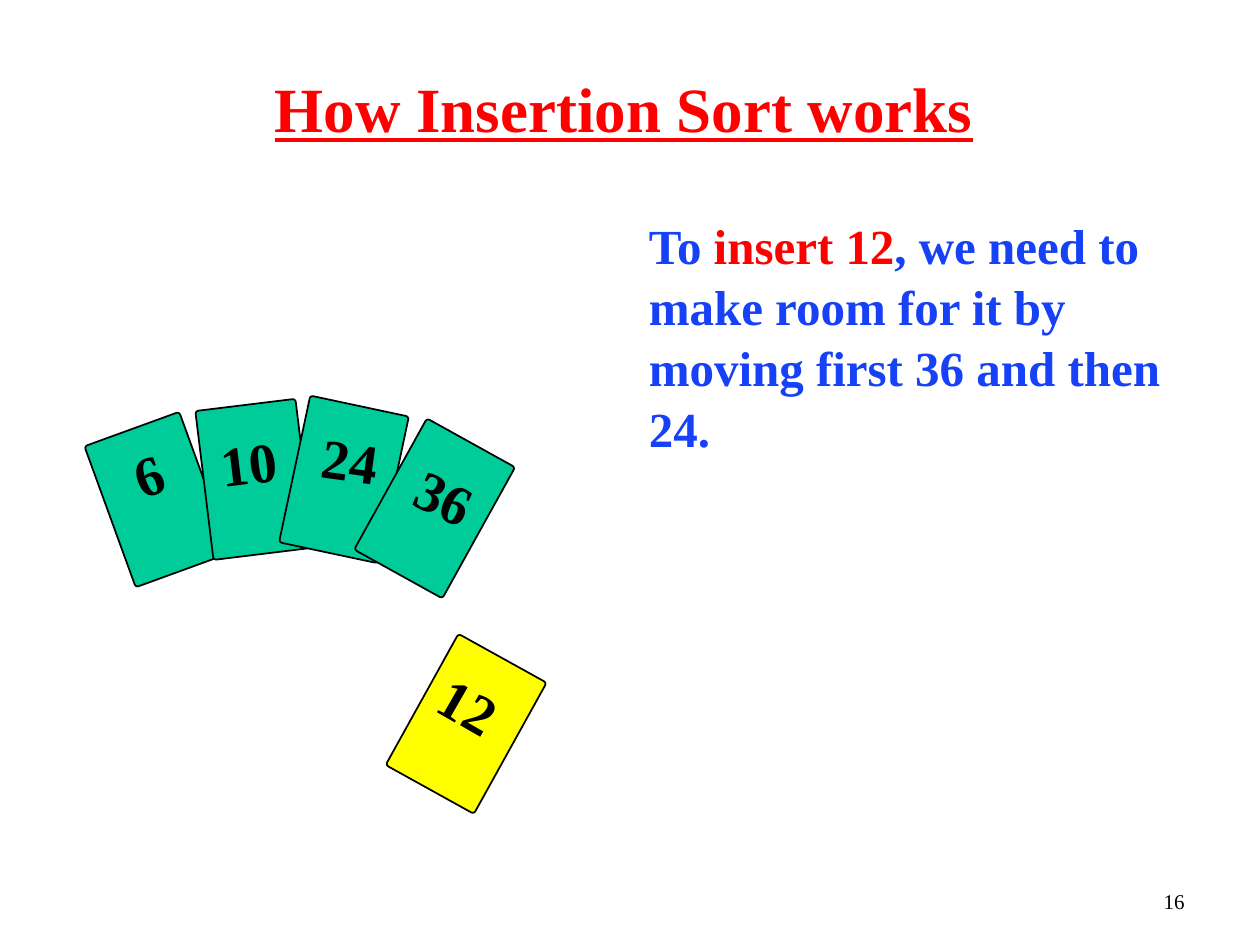
from pptx import Presentation
from pptx.dml.color import RGBColor
from pptx.enum.shapes import MSO_SHAPE as Preset
from pptx.enum.text import MSO_ANCHOR as Anchor, MSO_AUTO_SIZE as AutoSize, PP_ALIGN as Align
from pptx.oxml.xmlchemy import OxmlElement
from pptx.util import Inches, Pt

BLACK, RED, BLUE, GREEN, YELLOW = "000000", "FF0000", "1641F6", "00CC99", "FFFF00"


def color(hex_value):
    return RGBColor.from_string(hex_value)


def write(paragraph, text, hex_value, **formats):
    run = paragraph.add_run()
    run.text = text
    run.font.color.rgb = color(hex_value)
    for name, value in {"name": "Times New Roman", "bold": True, **formats}.items():
        setattr(run.font, name, value)


prs = Presentation()
prs.slide_width, prs.slide_height = Inches(10), Inches(7.5)
slide = prs.slides.add_slide(prs.slide_layouts[1])
title, explanation = slide.placeholders

places = [(title, (1, 0.31, 7.9, 1.09), Anchor.MIDDLE),
          (explanation, (5.05, 1.64, 4.66, 1.99), Anchor.TOP)]
for holder, box, anchor in places:
    for name, value in zip(("left", "top", "width", "height"), box):
        setattr(holder, name, Inches(value))
    frame_formats = {"vertical_anchor": anchor, "word_wrap": True, "auto_size": AutoSize.NONE}
    for name, value in frame_formats.items():
        setattr(holder.text_frame, name, value)

heading = title.text_frame.paragraphs[0]
heading.alignment = Align.CENTER
write(heading, "How Insertion Sort works", RED, size=Pt(36), underline=True)

sentence = explanation.text_frame.paragraphs[0]
sentence.space_before = Pt(0)
sentence.line_spacing = 1.04
indents = sentence._p.get_or_add_pPr()
indents.set("marL", "0")
indents.set("indent", "0")
indents.append(OxmlElement("a:buNone"))
for text, hex_value in [("To ", BLUE), ("insert 12", RED),
                        (", we need to make room for it by moving first 36 and then 24.", BLUE)]:
    write(sentence, text, hex_value, size=Pt(28))

cards = [
    ("6", GREEN, (0.85, 3.37), 340, (0.97, 3.44, 0.43), 341),
    ("10", GREEN, (1.62, 3.21), 353, (1.65, 3.35, 0.65), 353),
    ("24", GREEN, (2.33, 3.21), 12, (2.46, 3.33, 0.65), 8),
    ("12", YELLOW, (3.3, 5.15), 29, (3.4, 5.28, 0.65), 30),
    ("36", GREEN, (3.05, 3.44), 29, (3.21, 3.62, 0.65), 25),
]
for number, fill, (left, top), tilt, (number_left, number_top, number_width), number_tilt in cards:
    card = slide.shapes.add_shape(Preset.ROUNDED_RECTANGLE, Inches(left), Inches(top),
                                  Inches(0.8), Inches(1.19))
    card.adjustments[0] = 0.03
    card.rotation = tilt
    card.shadow.inherit = False
    card.fill.solid()
    card.fill.fore_color.rgb = color(fill)
    card.line.color.rgb = color(BLACK)
    card.line.width = Pt(1)

    label = slide.shapes.add_textbox(Inches(number_left), Inches(number_top),
                                     Inches(number_width), Inches(0.64))
    label.rotation = number_tilt
    label.text_frame.word_wrap = False
    write(label.text_frame.paragraphs[0], number, BLACK, size=Pt(32))

page = slide.shapes.add_textbox(Inches(7.17), Inches(7), Inches(2.33), Inches(0.35))
page.text_frame.word_wrap = True
page_number = page.text_frame.paragraphs[0]
page_number.alignment = Align.RIGHT
write(page_number, "16", BLACK, size=Pt(12), bold=False)

prs.save("out.pptx")
